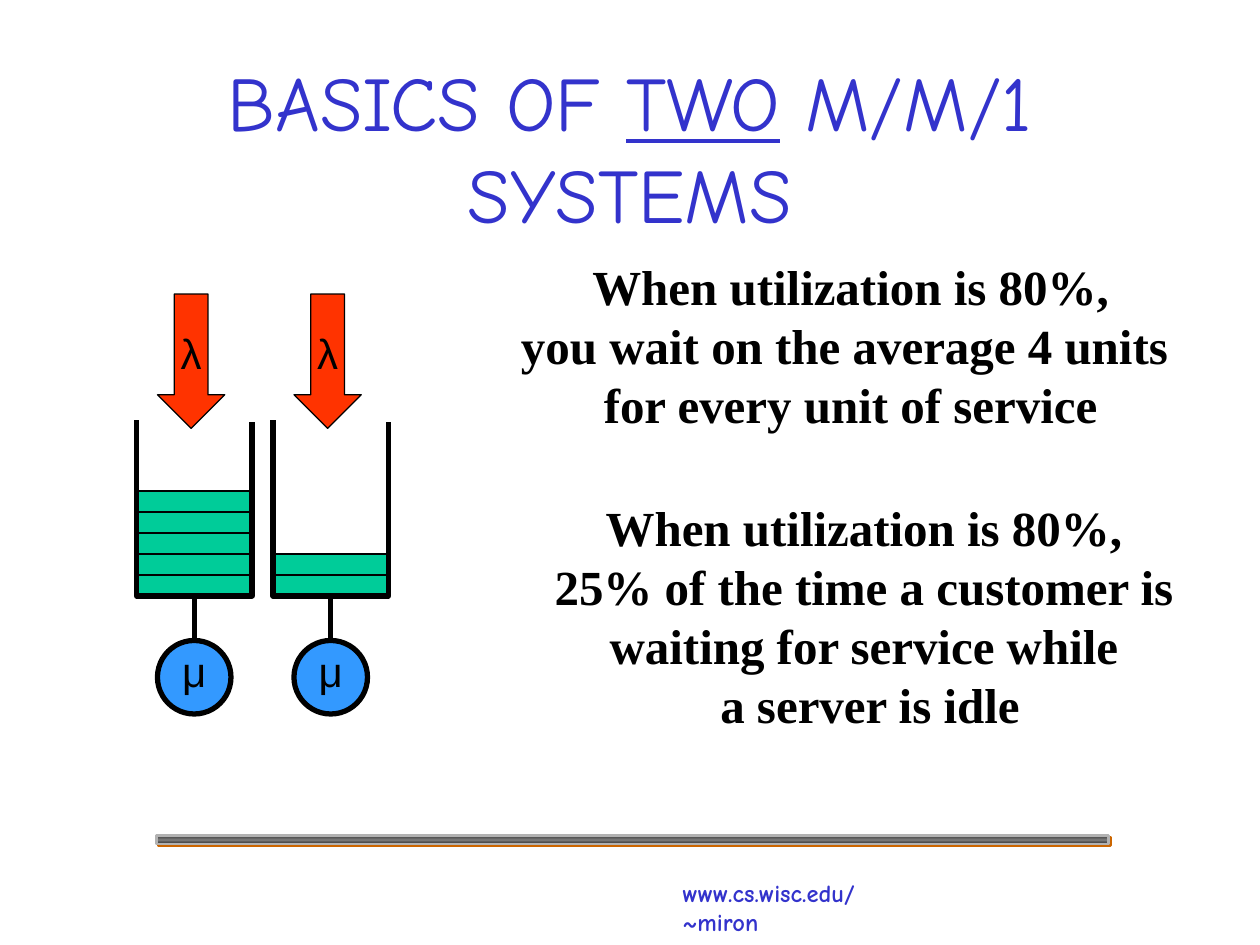
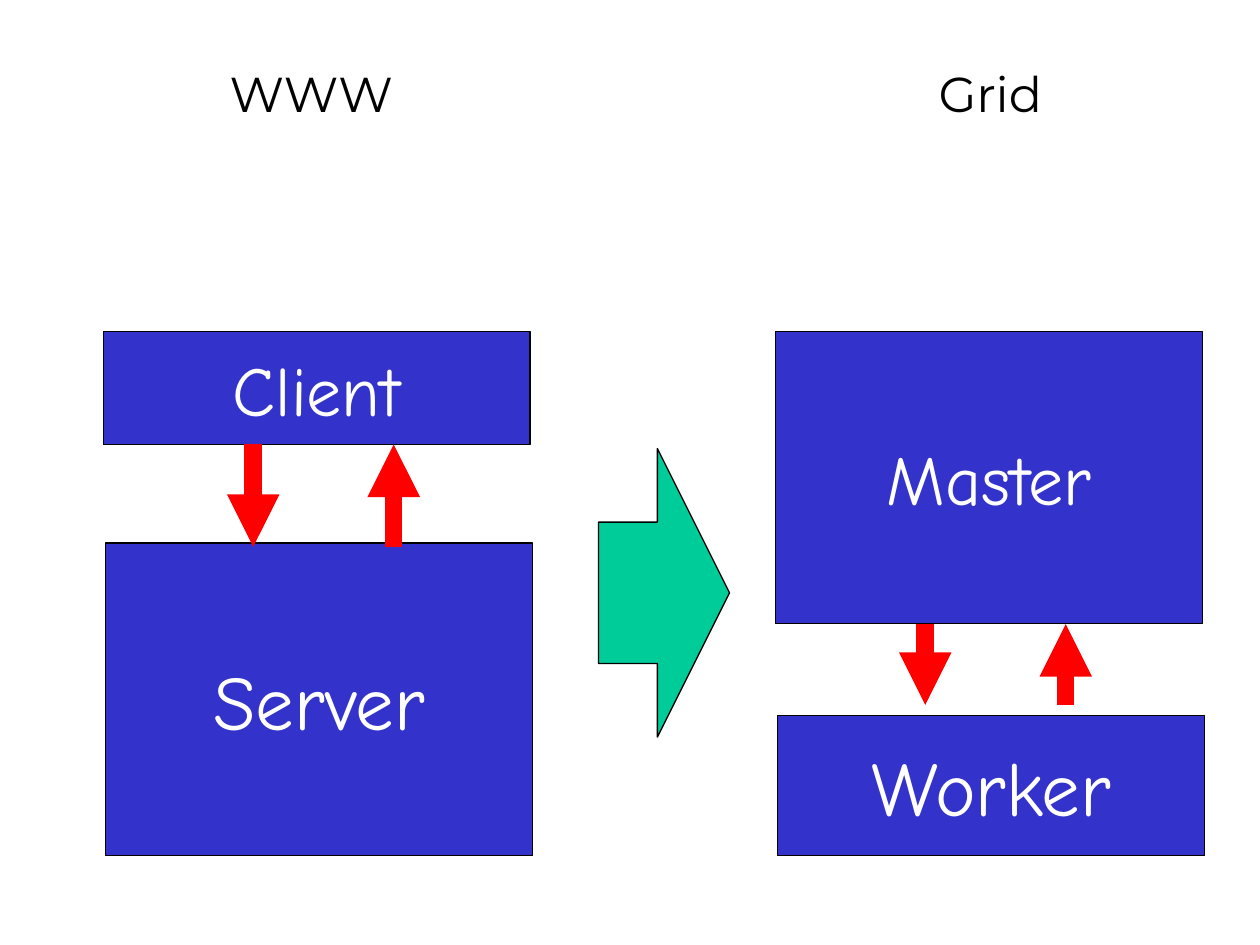
from copy import deepcopy

from lxml.etree import SubElement
from pptx import Presentation
from pptx.dml.color import RGBColor
from pptx.enum.shapes import MSO_CONNECTOR, MSO_SHAPE
from pptx.enum.text import MSO_ANCHOR, MSO_AUTO_SIZE, PP_ALIGN
from pptx.oxml.ns import qn
from pptx.util import Pt

COLORS = {
    "black": "000000",
    "white": "FFFFFF",
    "blue": "3333CC",
    "green": "00CC99",
    "orange": "FF3300",
    "sky": "3399FF",
    "red": "FF0000",
    "band_dark": "373737",
    "band_light": "777777",
    "band_edge": "B2B2B2",
    "band_shadow": "CC6600",
}
HAND, SANS, SERIF, HEADING = "Comic Neue", "Arial", "Times New Roman", "Montserrat"
TITLE_ONLY, BLANK = 5, 6


def color(name):
    return RGBColor.from_string(COLORS[name])


def set_font(font, name, size, ink, bold=False):
    font.name = name
    font.size = Pt(size)
    font.bold = bold
    font.color.rgb = color(ink)


def write(shape, lines, font, size, ink, bold=False, align=PP_ALIGN.CENTER, wrap=False):
    frame = shape.text_frame
    frame.word_wrap = wrap
    frame.text = "\n".join(lines)
    for paragraph in frame.paragraphs:
        paragraph.alignment = align
        set_font(paragraph.font, font, size, ink, bold)


def add_text(page, place, lines, *style, **options):
    box = page.shapes.add_textbox(*map(Pt, place))
    write(box, lines, *style, **options)
    return box


def add_block(page, kind, place, fill, line_width, adjustments=()):
    shape = page.shapes.add_shape(kind, *map(Pt, place))
    shape.shadow.inherit = False
    shape.fill.solid()
    shape.fill.fore_color.rgb = color(fill)
    shape.line.color.rgb = color("black")
    shape.line.width = Pt(line_width)
    for index, value in enumerate(adjustments):
        shape.adjustments[index] = value
    shape.text_frame.vertical_anchor = MSO_ANCHOR.MIDDLE
    return shape


def add_line(page, start, end, ink, width, arrow=False):
    line = page.shapes.add_connector(MSO_CONNECTOR.STRAIGHT, *map(Pt, start + end))
    line.line.color.rgb = color(ink)
    line.line.width = Pt(width)
    properties = line._element.spPr
    if arrow:
        SubElement(properties.find(qn("a:ln")), qn("a:tailEnd"), type="triangle")
    SubElement(properties, qn("a:effectLst"))


def add_title(page, parts):
    title = page.shapes.title
    title.left, title.top, title.width, title.height = map(Pt, (54, 48, 612, 72))
    frame = title.text_frame
    frame.auto_size = MSO_AUTO_SIZE.NONE
    frame.word_wrap = True
    frame.vertical_anchor = MSO_ANCHOR.MIDDLE
    paragraph = frame.paragraphs[0]
    paragraph.alignment = PP_ALIGN.CENTER
    set_font(paragraph.font, HAND, 44, "blue")
    for text, underlined in parts:
        span = paragraph.add_run()
        span.text = text
        span.font.underline = underlined


def add_footer(page):
    band = add_block(page, MSO_SHAPE.RECTANGLE, (89.3, 477.4, 544.3, 5), "band_dark", 1.5)
    band.line.color.rgb = color("band_edge")
    band.fill.gradient()
    band.fill.gradient_angle = 90
    for stop in band.fill.gradient_stops:
        stop.color.rgb = color("band_dark")
    properties = band._element.spPr
    first = properties.find(".//" + qn("a:gs"))
    middle = deepcopy(first)
    middle.set("pos", "50000")
    middle.find(qn("a:srgbClr")).set("val", COLORS["band_light"])
    first.addnext(middle)
    shadow = SubElement(properties.find(qn("a:effectLst")), qn("a:outerShdw"),
                        dist=str(Pt(1.4)), dir="2700000", algn="ctr", rotWithShape="0")
    SubElement(shadow, qn("a:srgbClr"), val=COLORS["band_shadow"])
    add_text(page, (383, 498.2, 156.2, 24.5), ["www.cs.wisc.edu/~miron"],
             HAND, 14, "blue", bold=True, align=PP_ALIGN.LEFT)


def add_queue(page, left, waiting):
    width, top, bottom, step = 66, 240, 340.5, 12
    for position in range(1, waiting + 1):
        add_block(page, MSO_SHAPE.RECTANGLE,
                  (left, bottom - position * step, width, step), "green", 1)
    arrival = add_block(page, MSO_SHAPE.DOWN_ARROW, (left + 12, 168, 38.4, 76.8),
                        "orange", 0.75, (0.5, 0.5))
    write(arrival, ["λ"], SANS, 24, "black")
    add_line(page, (left + 33, bottom), (left + 33, 366), "black", 3)
    server = add_block(page, MSO_SHAPE.OVAL, (left + 12, 366, 42, 42), "sky", 3)
    server.text_frame.margin_top = 0
    server.text_frame.margin_bottom = Pt(7)
    write(server, ["μ"], SANS, 24, "black")

    builder = page.shapes.build_freeform(Pt(left), Pt(top))
    corners = [(left, bottom), (left + width, bottom), (left + width, top + 1)]
    builder.add_line_segments([(Pt(x), Pt(y)) for x, y in corners], close=False)
    tank = builder.convert_to_shape()
    tank.shadow.inherit = False
    tank.fill.background()
    tank.line.color.rgb = color("black")
    tank.line.width = Pt(3)


def add_pair(page, left, upper, lower, arrow_span):
    for offset, (label, size, top, height) in ((0, upper), (1.5, lower)):
        block = add_block(page, MSO_SHAPE.RECTANGLE,
                          (left + offset, top, 244, height), "blue", 0.75)
        write(block, [label], HAND, size, "white")
    start, end = arrow_span
    request, reply = left + 85.7, left + 166
    add_line(page, (request, start), (request, end), "red", 10, arrow=True)
    add_line(page, (reply, end), (reply, start), "red", 10, arrow=True)


def build_queues(deck):
    page = deck.slides.add_slide(deck.slide_layouts[TITLE_ONLY])
    add_footer(page)
    add_title(page, [("BASICS OF ", False), ("TWO", True), (" M/M/1 SYSTEMS", False)])
    for index, waiting in enumerate((5, 2)):
        add_queue(page, 78 + index * 78, waiting)
    statement = (SERIF, 28, "black")
    add_text(page, (290.2, 143.3, 391.7, 141.8),
             ["When utilization is 80%,",
              "you wait on the average 4 units ",
              "for every unit of service"], *statement, bold=True, wrap=True)
    add_text(page, (309.6, 280.8, 375.1, 141.8),
             ["When utilization is 80%, ",
              "25% of the time a customer is ",
              "waiting for service while ",
              "a server is idle"], *statement, bold=True)


def build_comparison(deck):
    page = deck.slides.add_slide(deck.slide_layouts[BLANK])
    add_pair(page, 59, ("Client", 40, 189.4, 64.8), ("Server", 44, 310.3, 178.6),
             (254, 312.5))
    add_pair(page, 443, ("Master", 40, 189.4, 167), ("Worker", 44, 409, 79.9),
             (356.7, 402.8))
    add_block(page, MSO_SHAPE.RIGHT_ARROW, (342, 256.3, 74.9, 164.9),
              "green", 0.75, (0.49, 0.55))
    for left, label in ((123.8, "WWW"), (511.9, "Grid")):
        add_text(page, (left, 32.8, 108, 69.8), [label], HEADING, 28, "black")


def main():
    deck = Presentation()
    deck.slide_width, deck.slide_height = Pt(720), Pt(540)
    build_queues(deck)
    build_comparison(deck)
    deck.save("out.pptx")


if __name__ == "__main__":
    main()
